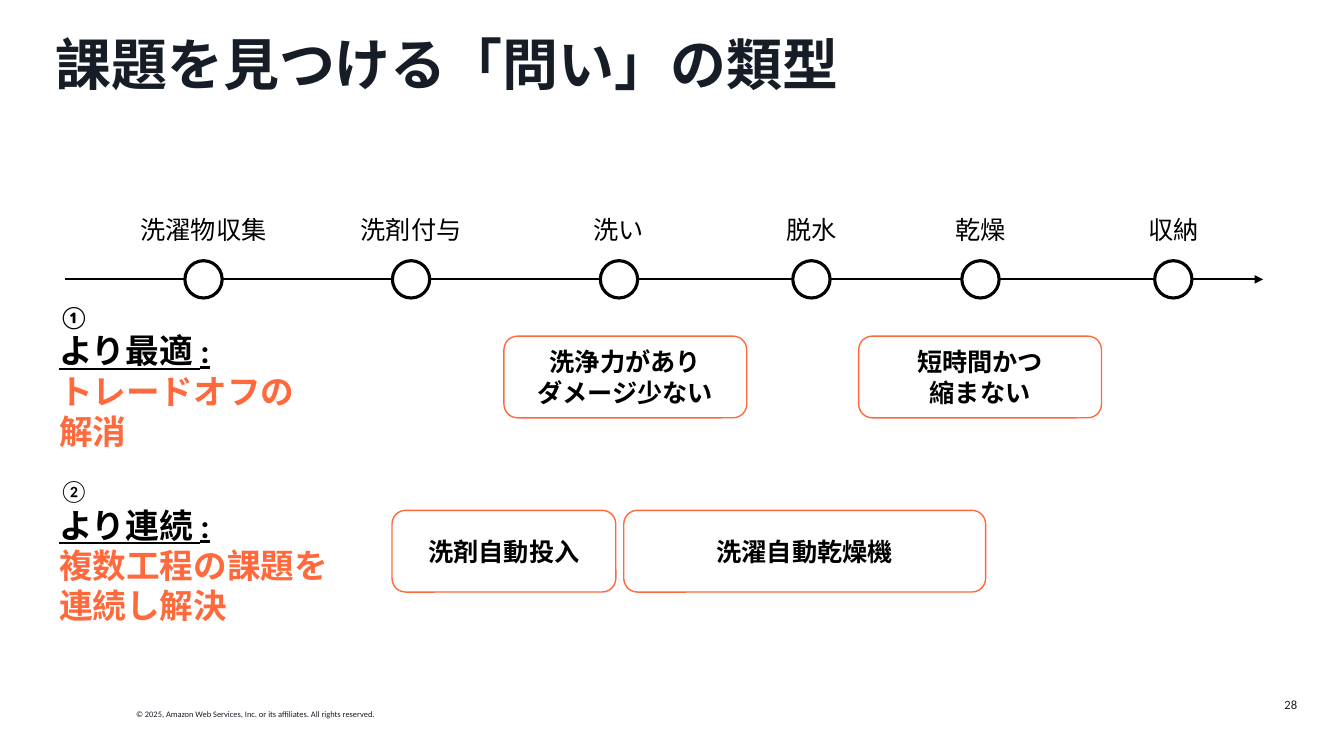
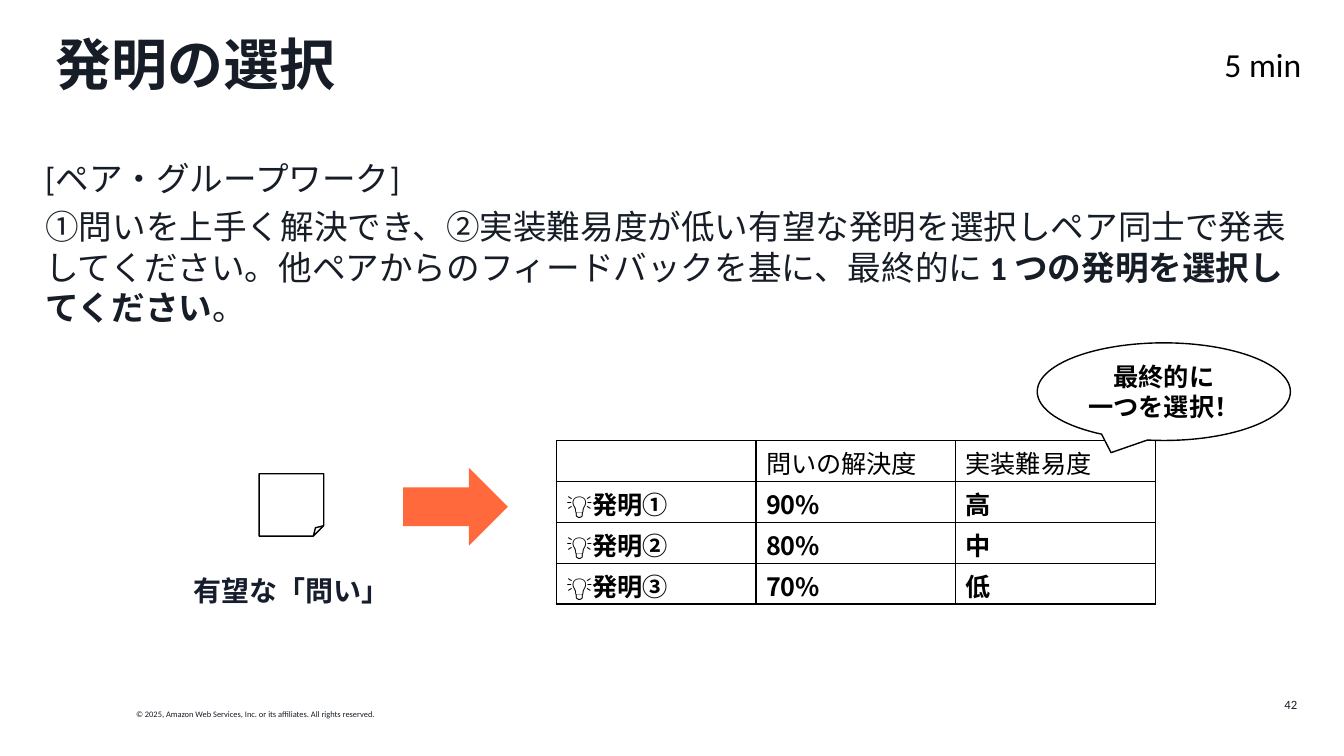
from lxml import etree
from pptx import Presentation
from pptx.dml.color import RGBColor
from pptx.enum import shapes as shape_enum, text as text_enum
from pptx.oxml import ns
from pptx.util import Cm, Pt

BLACK = RGBColor(0x00, 0x00, 0x00)
WHITE = RGBColor(0xFF, 0xFF, 0xFF)
INK = RGBColor(0x16, 0x1D, 0x26)
NAVY = RGBColor(0x16, 0x1E, 0x2D)
ORANGE = RGBColor(0xFF, 0x69, 0x3C)
LATIN_FONT = "Calibri"
JAPANESE_FONT = "Noto Sans CJK JP"
COPYRIGHT = "© 2025, Amazon Web Services, Inc. or its affiliates. All rights reserved."

SHAPE = shape_enum.MSO_SHAPE
ALIGN = text_enum.PP_ALIGN
ANCHOR = text_enum.MSO_ANCHOR


def add_child(parent, tag, **attributes):
    """Append a DrawingML element to a parent and return it."""
    child = etree.SubElement(parent, ns.qn(tag))
    for name, value in attributes.items():
        child.set(name, value)
    return child


def style_run(run, size, color=BLACK, bold=False, underline=False, latin=LATIN_FONT):
    """Format one run with the deck's Latin and Japanese fonts."""
    font = run.font
    font.size, font.bold, font.underline = Pt(size), bold, underline
    font.color.rgb = color
    font.name = latin
    latin_element = run.font._element.find(ns.qn("a:latin"))
    east_asian = etree.Element(ns.qn("a:ea"), typeface=JAPANESE_FONT)
    latin_element.addnext(east_asian)


def style_paragraph(paragraph, size, align=ALIGN.LEFT, **run_style):
    """Align a paragraph and format all its runs."""
    paragraph.alignment = align
    for run in paragraph.runs:
        style_run(run, size, **run_style)


def write_text(frame, content, size, **style):
    """Fill a text frame with uniformly styled text."""
    frame.text = content
    for paragraph in frame.paragraphs:
        style_paragraph(paragraph, size, **style)


def add_text(slide, box, content, size, anchor=ANCHOR.TOP, wrap=True, side_inset=0.25, **style):
    """Add a text box at (left, top, width, height) in centimetres."""
    shape = slide.shapes.add_textbox(*map(Cm, box))
    frame = shape.text_frame
    frame.word_wrap, frame.vertical_anchor = wrap, anchor
    frame.margin_left = frame.margin_right = Cm(side_inset)
    write_text(frame, content, size, **style)
    return shape


def add_figure(slide, kind, box, fill=None, line=None, line_width=1):
    """Add a flat preset shape with an optional fill and outline."""
    shape = slide.shapes.add_shape(kind, *map(Cm, box))
    shape.shadow.inherit = False
    if fill is None:
        shape.fill.background()
    else:
        shape.fill.solid()
        shape.fill.fore_color.rgb = fill
    if line is None:
        shape.line.fill.background()
    else:
        shape.line.color.rgb = line
        shape.line.width = Pt(line_width)
    return shape


def add_arrow_line(slide, left, right, y):
    """Add a horizontal line with an arrowhead at its right end."""
    line = slide.shapes.add_connector(
        shape_enum.MSO_CONNECTOR.STRAIGHT, Cm(left), Cm(y), Cm(right), Cm(y))
    line.line.color.rgb = BLACK
    line.line.width = Pt(1.5)
    add_child(line.line._get_or_add_ln(), "a:tailEnd", type="triangle")
    add_child(line._element.spPr, "a:effectLst")


def place(shape, box):
    """Move and size a shape to a box in centimetres."""
    shape.left, shape.top, shape.width, shape.height = map(Cm, box)


def add_slide(presentation, layout_index, title, number):
    """Add a slide with the shared title style and page number."""
    slide = presentation.slides.add_slide(presentation.slide_layouts[layout_index])
    heading = slide.shapes.title
    place(heading, (1.14, 0.81, 31.8, 1.73))
    frame = heading.text_frame
    frame.vertical_anchor = ANCHOR.TOP
    frame.auto_size = text_enum.MSO_AUTO_SIZE.NONE
    write_text(frame, title, 40, color=INK, bold=True)
    frame.paragraphs[0].line_spacing = 0.9
    add_text(slide, (25.32, 17.25, 7.62, 1.02), str(number), 9,
             anchor=ANCHOR.MIDDLE, align=ALIGN.RIGHT, color=INK)
    return slide


def put_copyright_on_master(presentation, slide):
    """Build the copyright line and move it to the slide master."""
    notice = add_text(slide, (3.18, 17.75, 7.29, 0.51), COPYRIGHT, 6, wrap=False, color=INK)
    presentation.slide_master.shapes.element.append(notice.element)


def add_timeline(slide, left, top, width, stages):
    """Draw the process axis with a labelled ring at each stage offset."""
    ring, label_width, axis = 0.94, 5.8, top + 1.76
    add_arrow_line(slide, left, left + width, axis)
    for name, offset in stages:
        center = left + offset
        add_figure(slide, SHAPE.OVAL, (center - ring / 2, axis - ring / 2, ring, ring),
                   WHITE, BLACK, 2.25)
        add_text(slide, (center - label_width / 2, top, label_width, 1.02), name, 18,
                 align=ALIGN.CENTER)


def add_question_row(slide, left, top, mark, heading, answer, mark_bold, examples):
    """Place a question type and its outlined examples beside it."""
    shape = add_text(slide, (left, top, 7.5, 4.01), f"{mark}\n{heading}\n{answer}", 24,
                     color=ORANGE, bold=True)
    first, second = shape.text_frame.paragraphs[:2]
    for paragraph, size, bold, underline in (
            (first, 16, mark_bold, False), (second, 24, True, True)):
        run = paragraph.runs[0]
        run.font.size, run.font.bold, run.font.underline = Pt(size), bold, underline
        run.font.color.rgb = BLACK
    for content, offset, width in examples:
        card = add_figure(slide, SHAPE.ROUNDED_RECTANGLE,
                          (left + offset, top + 0.95, width, 2.06), line=ORANGE)
        card.text_frame.vertical_anchor = ANCHOR.MIDDLE
        write_text(card.text_frame, content, 18, align=ALIGN.CENTER, bold=True)


def add_instructions(slide, box):
    """Fill the body placeholder with the group work instructions."""
    body = slide.placeholders[1]
    place(body, box)
    frame = body.text_frame
    frame.margin_left = frame.margin_right = 0
    frame.auto_size = text_enum.MSO_AUTO_SIZE.NONE
    paragraphs = (
        (("[ペア・グループワーク]", False),),
        (("①問いを上手く解決でき、②実装難易度が低い有望な発明を選択しペア同士で発表してください。"
          "他ペアからのフィードバックを基に、最終的に ", False),
         ("1 つの発明を選択してください", True), ("。", False)),
    )
    for index, pieces in enumerate(paragraphs):
        paragraph = frame.add_paragraph() if index else frame.paragraphs[0]
        properties = paragraph._p.get_or_add_pPr()
        properties.set("marL", "0")
        properties.set("indent", "0")
        add_child(properties, "a:buNone")
        paragraph.space_before, paragraph.space_after = Pt(0), Pt(6)
        for content, bold in pieces:
            run = paragraph.add_run()
            run.text = content
            style_run(run, 24, color=INK, bold=bold)


def add_promising_question(slide, left, top):
    """Draw the note, its caption and the arrow leading on from it."""
    add_figure(slide, SHAPE.FOLDED_CORNER, (left + 1.98, top + 0.15, 1.63, 1.57), line=BLACK)
    add_text(slide, (left, top + 2.54, 5.61, 1.12), "有望な「問い」", 20, side_inset=0,
             align=ALIGN.CENTER, color=NAVY, bold=True)
    add_figure(slide, SHAPE.RIGHT_ARROW, (left + 5.61, top, 2.64, 1.96), fill=ORANGE)


def outline_cell(cell):
    """Clear a cell's fill and draw thin black borders around it."""
    cell.fill.background()
    properties = cell._tc.get_or_add_tcPr()
    for index, side in enumerate(("a:lnL", "a:lnR", "a:lnT", "a:lnB")):
        border = etree.Element(ns.qn(side), w=str(Pt(1)))
        add_child(add_child(border, "a:solidFill"), "a:srgbClr", val=str(BLACK))
        properties.insert(index, border)


def add_invention_table(slide, left, top, width, row_height, rows):
    """Add the comparison table with a plain header and bold rows."""
    table = slide.shapes.add_table(
        len(rows), len(rows[0]), Cm(left), Cm(top), Cm(width), Cm(row_height * len(rows))).table
    table.first_row = table.horz_banding = False
    for row_index, row in enumerate(rows):
        table.rows[row_index].height = Cm(row_height)
        for column_index, content in enumerate(row):
            cell = table.cell(row_index, column_index)
            cell.margin_top, cell.margin_bottom = Cm(0.1), 0
            outline_cell(cell)
            if content:
                write_text(cell.text_frame, content, 18, bold=row_index > 0, latin=JAPANESE_FONT)


def add_callout(slide, box, content):
    """Add the speech bubble above the table."""
    bubble = add_figure(slide, SHAPE.OVAL_CALLOUT, box, WHITE, BLACK)
    bubble.text_frame.vertical_anchor = ANCHOR.MIDDLE
    write_text(bubble.text_frame, content, 18, align=ALIGN.CENTER, bold=True)


def build_question_types(presentation):
    """Build the slide on types of questions."""
    slide = add_slide(presentation, 5, "課題を見つける「問い」の類型", 28)
    put_copyright_on_master(presentation, slide)
    add_timeline(slide, 1.65, 5.28, 30.18, (
        ("洗濯物収集", 3.48), ("洗剤付与", 8.71), ("洗い", 13.95),
        ("脱水", 18.8), ("乾燥", 23.06), ("収納", 27.92)))
    add_question_row(slide, 1.24, 7.52, "①", "より最適 :", "トレードオフの\n解消", True, (
        ("洗浄力があり\nダメージ少ない", 11.46, 6.12), ("短時間かつ\n縮まない", 20.4, 6.12)))
    add_question_row(slide, 1.24, 11.91, "②", "より連続 :", "複数工程の課題を連続し解決", False, (
        ("洗剤自動投入", 8.64, 5.64), ("洗濯自動乾燥機", 14.48, 9.12)))


def build_invention_choice(presentation):
    """Build the slide on choosing an invention."""
    slide = add_slide(presentation, 1, "発明の選択", 42)
    add_instructions(slide, (1.14, 3.84, 31.8, 4.57))
    add_text(slide, (30.07, 0.97, 3.51, 1.27), "5 min", 24, side_inset=0, align=ALIGN.CENTER)
    add_promising_question(slide, 4.55, 11.79)
    add_invention_table(slide, 14.02, 11.1, 15.09, 1.03, (
        ("", "問いの解決度", "実装難易度"),
        ("💡発明①", "90%", "高"),
        ("💡発明②", "80%", "中"),
        ("💡発明③", "70%", "低")))
    add_callout(slide, (26.14, 8.64, 6.38, 2.46), "最終的に\v一つを選択！")


def main():
    """Build and save the presentation."""
    presentation = Presentation()
    presentation.slide_width, presentation.slide_height = Cm(33.87), Cm(19.05)
    build_question_types(presentation)
    build_invention_choice(presentation)
    presentation.save("out.pptx")


if __name__ == "__main__":
    main()
